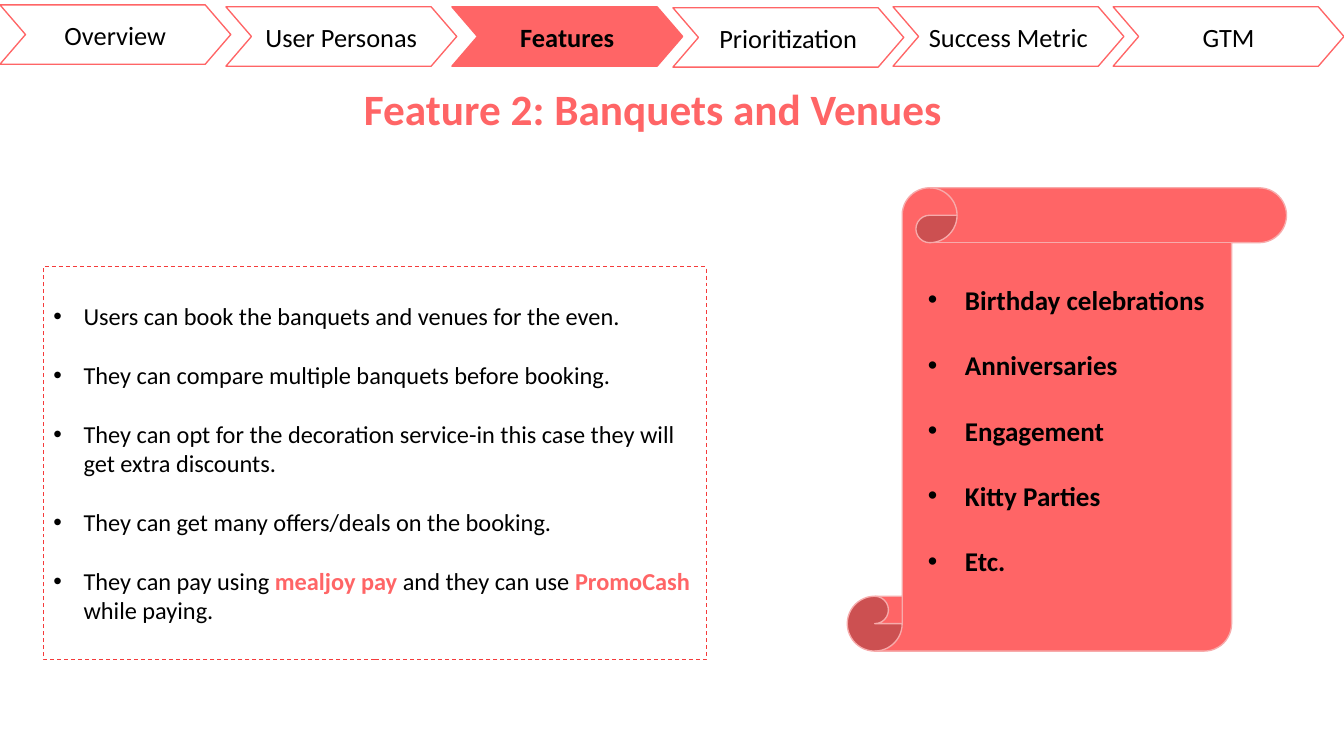
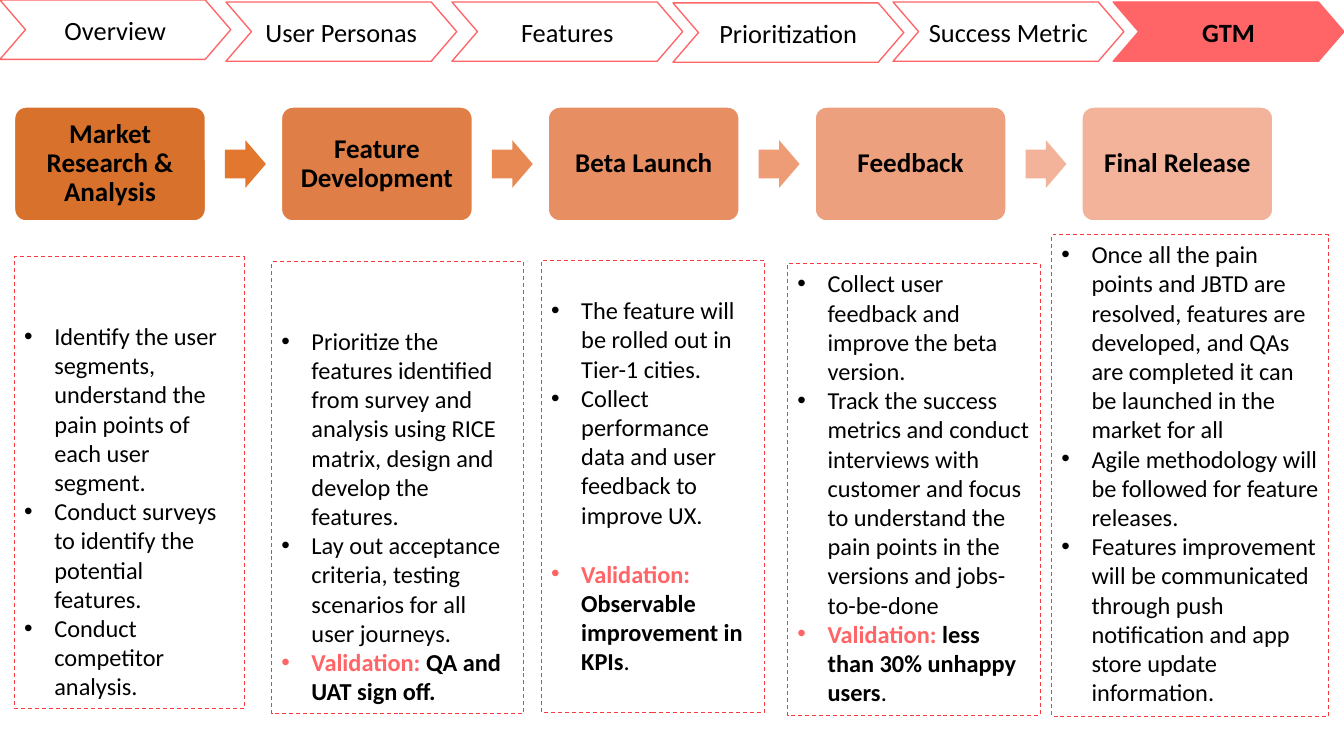
from lxml import etree
from pptx import Presentation
from pptx.dml.color import RGBColor
from pptx.enum.dml import MSO_LINE
from pptx.enum.shapes import MSO_SHAPE
from pptx.enum.text import MSO_ANCHOR, PP_ALIGN
from pptx.oxml.ns import qn
from pptx.util import Inches, Pt

CHEVRON = MSO_SHAPE.NOTCHED_RIGHT_ARROW
ARROW = MSO_SHAPE.RIGHT_ARROW
ROUNDED = MSO_SHAPE.ROUNDED_RECTANGLE
RECTANGLE = MSO_SHAPE.RECTANGLE
SCROLL = MSO_SHAPE.VERTICAL_SCROLL
DASH = MSO_LINE.DASH
MIDDLE, TOP = MSO_ANCHOR.MIDDLE, MSO_ANCHOR.TOP
CENTER, LEFT = PP_ALIGN.CENTER, PP_ALIGN.LEFT

WIDTH, HEIGHT = Inches(13.8), Inches(7.5)
COLUMNS, ROWS = 138, 75
FONT = "Calibri"
LINE_HEIGHT = 1.22
COLORS = {
    "accent": "FF6566",
    "scroll_edge": "F7ABAB",
    "dash": "F53B3B",
    "text": "000000",
    "white": "FFFFFF",
}
RUN_STYLES = {"plain": ("text", False), "strong": ("text", True), "accent": ("accent", True)}
TABS = [
    ("Overview", 0, 0),
    ("User Personas", 23.2, 0.2),
    ("Features", 46.4, 0.2),
    ("Prioritization", 69.1, 0.3),
    ("Success Metric", 91.7, 0.2),
    ("GTM", 114.3, 0.2),
]

BOOKING = [
    "Users can book the banquets and venues for the even.",
    "They can compare multiple banquets before booking.",
    "They can opt for the decoration service-in this case they will get extra discounts.",
    "They can get many offers/deals on the booking.",
    [("They can pay using ", "plain"), ("mealjoy pay", "accent"), (" and they can use ", "plain"),
     ("PromoCash", "accent"), (" while paying.", "plain")],
]
OCCASIONS = ["Birthday celebrations", "Anniversaries", "Engagement", "Kitty Parties", "Etc."]

STAGES = [
    ("Market Research & Analysis", "D7712C", "E2772F"),
    ("Feature Development", "DF7F47", "E88852"),
    ("Beta Launch", "E78F62", "EE9C76"),
    ("Feedback", "EDA07E", "F3B29A"),
    ("Final Release", "F3B39B", None),
]
STAGE_DETAILS = [
    ((1.5, 26.4, 23.6, 46.4), 2, (), [
        "Identify the user segments, understand the pain points of each user segment.",
        "Conduct surveys to identify the potential features.",
        "Conduct competitor analysis.",
    ]),
    ((27.9, 26.9, 25.9, 46.4), 2, (), [
        "Prioritize the features identified from survey and analysis using RICE matrix, "
        "design and develop the features.",
        "Lay out acceptance criteria, testing scenarios for all user journeys.",
        [("Validation: ", "accent"), ("QA and UAT sign off.", "strong")],
    ]),
    ((55.6, 26.8, 22.9, 46.4), 1, (2,), [
        "The feature will be rolled out in Tier-1 cities.",
        "Collect performance data and user feedback to improve UX.",
        [("Validation: ", "accent"), ("Observable improvement in KPIs", "strong"), (".", "plain")],
    ]),
    ((80.9, 27.1, 25.9, 46.4), 0, (), [
        "Collect user feedback and improve the beta version.",
        "Track the success metrics and conduct interviews with customer and focus to "
        "understand the pain points in the versions and jobs-to-be-done",
        [("Validation: ", "accent"), ("less than 30% unhappy users", "strong"), (".", "plain")],
    ]),
    ((108, 24.1, 28.4, 49.5), 0, (), [
        "Once all the pain points and JBTD are resolved, features are developed, and QAs "
        "are completed it can be launched in the market for all",
        "Agile methodology will be followed for feature releases.",
        "Features improvement will be communicated through push notification and app "
        "store update information.",
    ]),
]


def color(name):
    return RGBColor.from_string(COLORS.get(name, name))


class Deck:
    def __init__(self):
        self.presentation = Presentation()
        self.presentation.slide_width, self.presentation.slide_height = WIDTH, HEIGHT
        self.slide = None

    def start_slide(self, active_tab, top):
        self.slide = self.presentation.slides.add_slide(self.presentation.slide_layouts[6])
        for name, left, drop in TABS:
            active = name == active_tab
            tab = self.shape(CHEVRON, (left, top + drop, 23.7, 6.1),
                             "accent" if active else "white", "accent", adjustments=(1, 0.43))
            self.label(tab, name, 19.5, bold=active)

    def place(self, area):
        left, top, width, height = area
        return (round(WIDTH * left / COLUMNS), round(HEIGHT * top / ROWS),
                round(WIDTH * width / COLUMNS), round(HEIGHT * height / ROWS))

    def shape(self, kind, area, fill=None, line=None, weight=1, dash=None, adjustments=()):
        shape = self.slide.shapes.add_shape(kind, *self.place(area))
        shape.shadow.inherit = False
        for index, value in enumerate(adjustments):
            shape.adjustments[index] = value
        if fill:
            shape.fill.solid()
            shape.fill.fore_color.rgb = color(fill)
        else:
            shape.fill.background()
        if line:
            shape.line.color.rgb = color(line)
            shape.line.width = Pt(weight)
            if dash:
                shape.line.dash_style = dash
        else:
            shape.line.fill.background()
        return shape

    def text_box(self, area):
        return self.slide.shapes.add_textbox(*self.place(area))

    def format_run(self, run, size, style):
        name, bold = RUN_STYLES[style]
        run.font.name, run.font.size, run.font.bold = FONT, Pt(size), bold
        run.font.color.rgb = color(name)

    def label(self, shape, text, size, bold=False, style=None, spacing=None, margin=0.04):
        frame = shape.text_frame
        frame.word_wrap = True
        frame.vertical_anchor = MIDDLE
        frame.margin_left = frame.margin_right = Inches(0.08)
        frame.margin_top = frame.margin_bottom = Inches(margin)
        frame.text = text
        paragraph = frame.paragraphs[0]
        paragraph.alignment = CENTER
        if spacing:
            paragraph.line_spacing = spacing
        self.format_run(paragraph.runs[0], size, style or ("strong" if bold else "plain"))

    def title(self, text):
        self.label(self.text_box((33.1, 8, 67.9, 6.2)), text, 32, style="accent")

    def bullets(self, shape, items, size, indent, style="plain", lead=0, gaps=()):
        frame = shape.text_frame
        frame.word_wrap = True
        frame.vertical_anchor = TOP
        blank_line = Pt(size * LINE_HEIGHT)
        frame.margin_top = Inches(0.05) + lead * blank_line
        for index, item in enumerate(items):
            paragraph = frame.add_paragraph() if index else frame.paragraphs[0]
            paragraph.alignment = LEFT
            if index in gaps:
                paragraph.space_before = blank_line
            for text, run_style in [(item, style)] if isinstance(item, str) else item:
                run = paragraph.add_run()
                run.text = text
                self.format_run(run, size, run_style)
            properties = paragraph._p.get_or_add_pPr()
            properties.set("marL", str(Inches(indent)))
            properties.set("indent", str(-Inches(indent)))
            etree.SubElement(properties, qn("a:buFont")).set("typeface", "Arial")
            etree.SubElement(properties, qn("a:buChar")).set("char", "•")

    def detail_box(self, area, items, lead=0, gaps=()):
        box = self.shape(RECTANGLE, area, line="dash", weight=0.75, dash=DASH)
        self.bullets(box, items, 18, 0.31, lead=lead, gaps=gaps)

    def process(self, stages):
        for index, (name, fill, arrow_fill) in enumerate(stages):
            left = 1.5 + 27.4 * index
            stage = self.shape(ROUNDED, (left, 11, 19.6, 11.7), fill, "white", adjustments=(0.1,))
            self.label(stage, name, 20, bold=True, spacing=0.9, margin=0.08)
            if arrow_fill:
                self.shape(ARROW, (left + 21.6, 14.4, 4.2, 4.9), arrow_fill, adjustments=(0.6, 0.5))


def main():
    deck = Deck()

    deck.start_slide("Features", 0.5)
    deck.title("Feature 2: Banquets and Venues")
    deck.shape(SCROLL, (87, 19.3, 45.1, 47.6), "accent", "scroll_edge")
    deck.bullets(deck.text_box((94.3, 28.6, 31.2, 31.3)), OCCASIONS, 20, 0.38,
                 style="strong", gaps=range(1, len(OCCASIONS)))
    deck.detail_box((4.5, 27.4, 68, 40.4), BOOKING, lead=1, gaps=range(1, len(BOOKING)))

    deck.start_slide("GTM", 0)
    deck.process(STAGES)
    for area, lead, gaps, items in STAGE_DETAILS:
        deck.detail_box(area, items, lead, gaps)

    deck.presentation.save("out.pptx")


if __name__ == "__main__":
    main()
